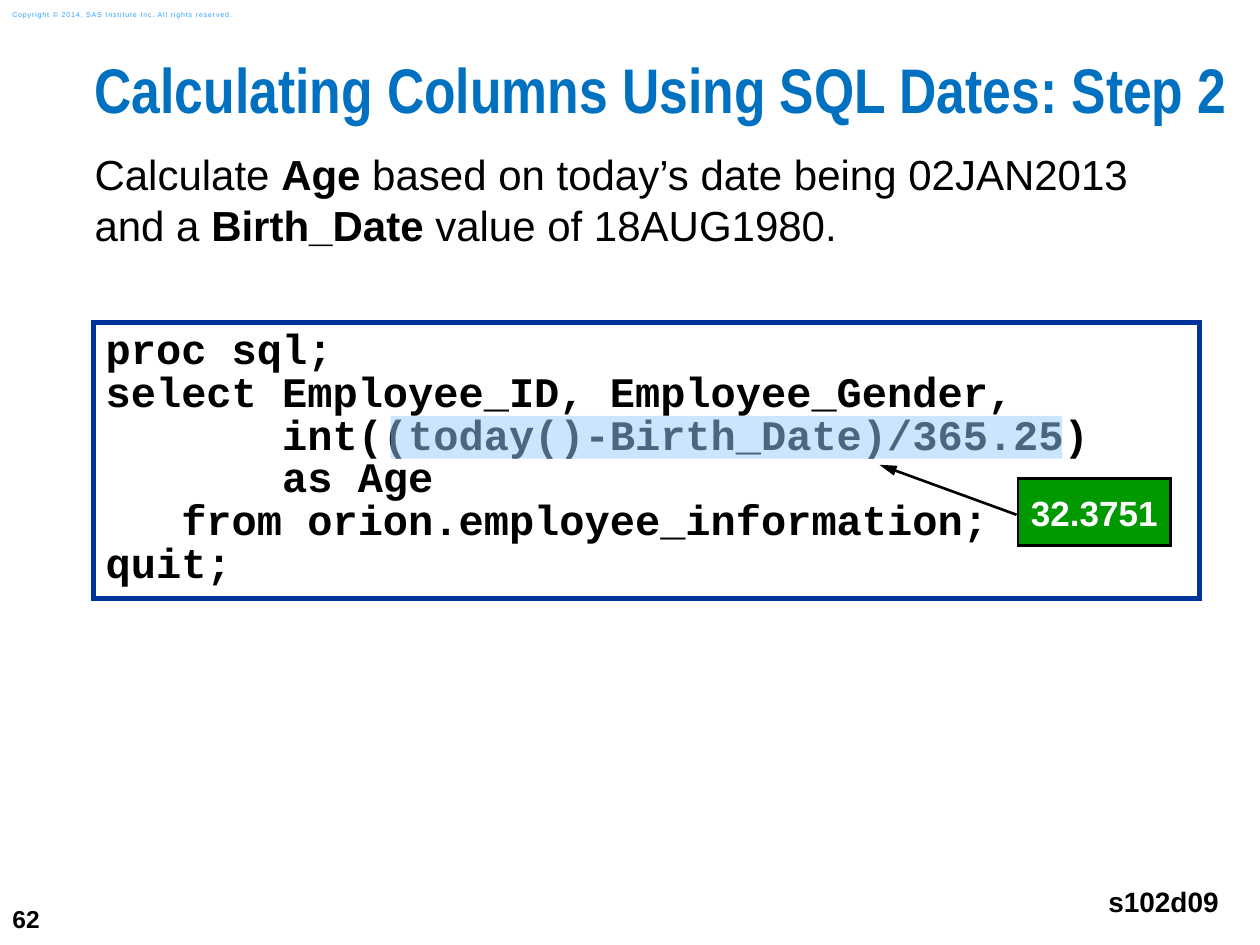
from dataclasses import dataclass
from typing import Optional

from lxml.etree import SubElement
from pptx import Presentation
from pptx.dml.color import RGBColor
from pptx.enum.shapes import MSO_SHAPE as Kind
from pptx.enum.text import MSO_ANCHOR as Anchor, PP_ALIGN as Align
from pptx.oxml.ns import qn
from pptx.util import Pt

BLACK = RGBColor(0x00, 0x00, 0x00)
WHITE = RGBColor(0xFF, 0xFF, 0xFF)
BLUE = RGBColor(0x00, 0x70, 0xC0)
NAVY = RGBColor(0x00, 0x33, 0x99)
SKY = RGBColor(0x2A, 0x9C, 0xFF)
PALE = RGBColor(0x99, 0xCC, 0xFF)
GREEN = RGBColor(0x00, 0x99, 0x00)

CODE = """proc sql;
select Employee_ID, Employee_Gender,
       int((today()-Birth_Date)/365.25)
       as Age
   from orion.employee_information;
quit;"""


@dataclass
class Box:
    left: float
    top: float
    width: float
    height: float


@dataclass
class Style:
    size: float
    color: RGBColor = BLACK
    bold: bool = True
    font: str = "Arial"
    pad: tuple = (0, 0, 0, 0)
    anchor: Anchor = Anchor.TOP
    align: Align = Align.LEFT
    wrap: bool = True
    lead: Optional[float] = None


@dataclass
class Label:
    text: str
    box: Box
    style: Style


LABELS = [
    Label("62", Box(0, 509.76, 41.76, 30.24),
          Style(14, pad=(7.2, 3.6, 7.2, 3.6), anchor=Anchor.MIDDLE, wrap=False)),
    Label("Copyright © 2014, SAS Institute Inc. All rights reserved.",
          Box(0, 2.16, 151.92, 12.24),
          Style(4, SKY, False, pad=(7.2, 3.6, 7.2, 3.6), anchor=Anchor.MIDDLE)),
    Label("Calculating Columns Using SQL Dates: Step 2",
          Box(54, 36, 666, 53.28), Style(36, BLUE, font="Arial Narrow", lead=0.83)),
    Label("s102d09", Box(625.68, 498.24, 77.76, 33.84),
          Style(16, pad=(7.2,) * 4, align=Align.RIGHT, wrap=False)),
]
INTRO = [("Calculate ", False), ("Age", True),
         (" based on today’s date being 02JAN2013 and a ", False),
         ("Birth_Date", True), (" value of 18AUG1980.", False)]


def write(shape, text: str, style: Style) -> None:
    frame = shape.text_frame
    frame.word_wrap = style.wrap
    frame.vertical_anchor = style.anchor
    (frame.margin_left, frame.margin_top,
     frame.margin_right, frame.margin_bottom) = map(Pt, style.pad)
    frame.text = text
    for para in frame.paragraphs:
        para.alignment = style.align
        if style.lead:
            para.line_spacing = style.lead
        for run in para.runs:
            ink(run, style, style.bold)


def ink(run, style: Style, bold: bool) -> None:
    run.font.name = style.font
    run.font.size = Pt(style.size)
    run.font.bold = bold
    run.font.color.rgb = style.color


def edges(box: Box) -> tuple:
    return Pt(box.left), Pt(box.top), Pt(box.width), Pt(box.height)


def label(slide, item: Label):
    shape = slide.shapes.add_textbox(*edges(item.box))
    write(shape, item.text, item.style)
    return shape


def block(slide, kind: Kind, box: Box, fill: RGBColor,
          line: Optional[RGBColor] = None, width: float = 0):
    shape = slide.shapes.add_shape(kind, *edges(box))
    shape.shadow.inherit = False
    shape.fill.solid()
    shape.fill.fore_color.rgb = fill
    if line is None:
        shape.line.fill.background()
    else:
        shape.line.color.rgb = line
        shape.line.width = Pt(width)
        SubElement(outline(shape), qn("a:miter"), lim="800000")
    return shape


def outline(shape):
    return shape.element.spPr.find(qn("a:ln"))


def intro(slide) -> None:
    style = Style(24, bold=False)
    shape = label(slide, Label("", Box(54, 84.96, 617.76, 335.52), style))
    para = shape.text_frame.paragraphs[0]
    for text, bold in INTRO:
        run = para.add_run()
        run.text = text
        ink(run, style, bold)


def code(slide) -> None:
    shape = block(slide, Kind.RECTANGLE, Box(53.28, 184.32, 632.16, 157.68),
                  WHITE, NAVY, 3)
    write(shape, CODE, Style(24, font="Courier New", pad=(7.2, 4.32, 0, 4.32),
                             lead=0.85))


def callout(slide) -> None:
    shape = block(slide, Kind.LINE_CALLOUT_1, Box(581.76, 273.6, 87.12, 38.16),
                  GREEN, BLACK, 1.5)
    for spot, value in enumerate((0.54, -0.01, -0.21, -0.91)):
        shape.adjustments[spot] = value
    SubElement(outline(shape), qn("a:tailEnd"), type="triangle", len="lg")
    write(shape, "32.3751", Style(20, WHITE, pad=(7.2,) * 4, anchor=Anchor.MIDDLE,
                                  align=Align.CENTER, wrap=False))


def marker(slide) -> None:
    shape = block(slide, Kind.RECTANGLE, Box(223.2, 237.6, 383.76, 24.48), PALE)
    tint = shape.element.spPr.find(qn("a:solidFill"))[0]
    SubElement(tint, qn("a:alpha"), val="50000")


def main() -> None:
    deck = Presentation()
    deck.slide_width, deck.slide_height = Pt(720), Pt(540)
    slide = deck.slides.add_slide(deck.slide_layouts[6])
    notice = [label(slide, item) for item in LABELS][1]
    run = notice.text_frame.paragraphs[0].runs[0]
    run.font._element.set("spc", "50")
    intro(slide)
    code(slide)
    callout(slide)
    marker(slide)
    deck.save("out.pptx")


if __name__ == "__main__":
    main()
